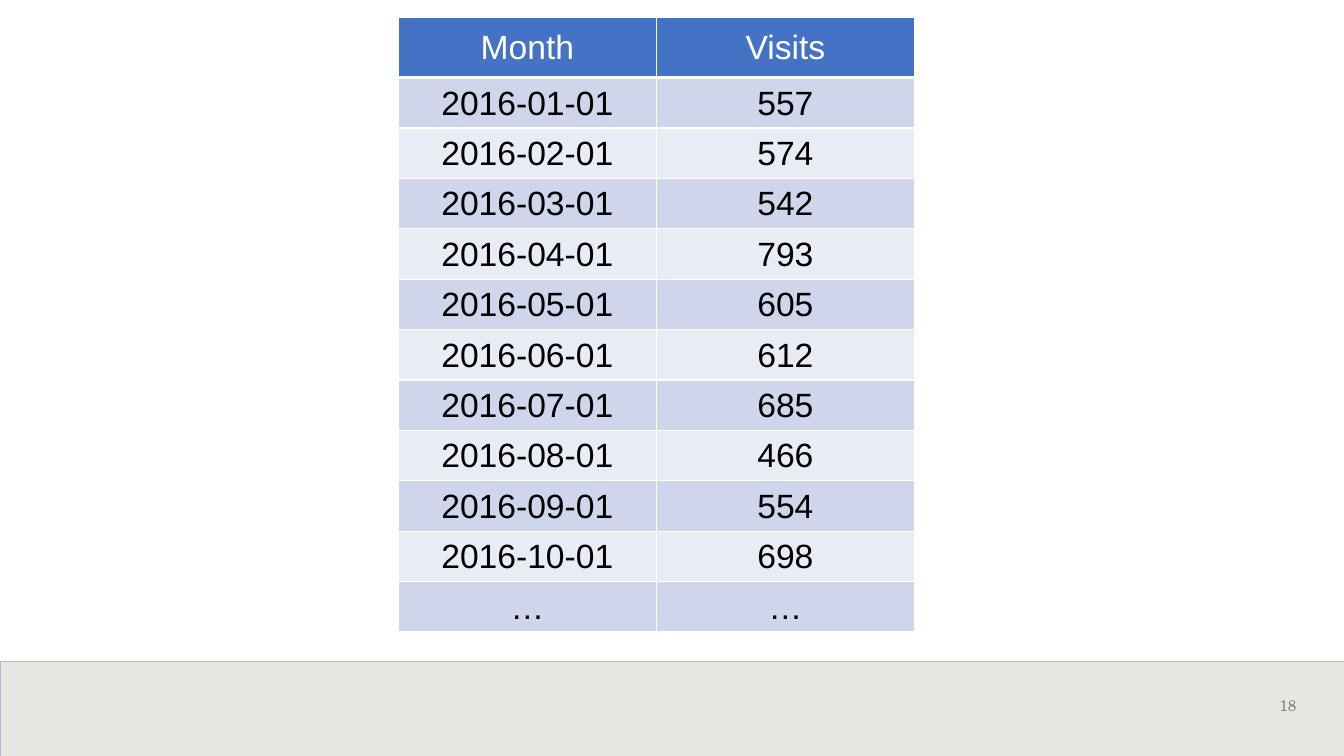
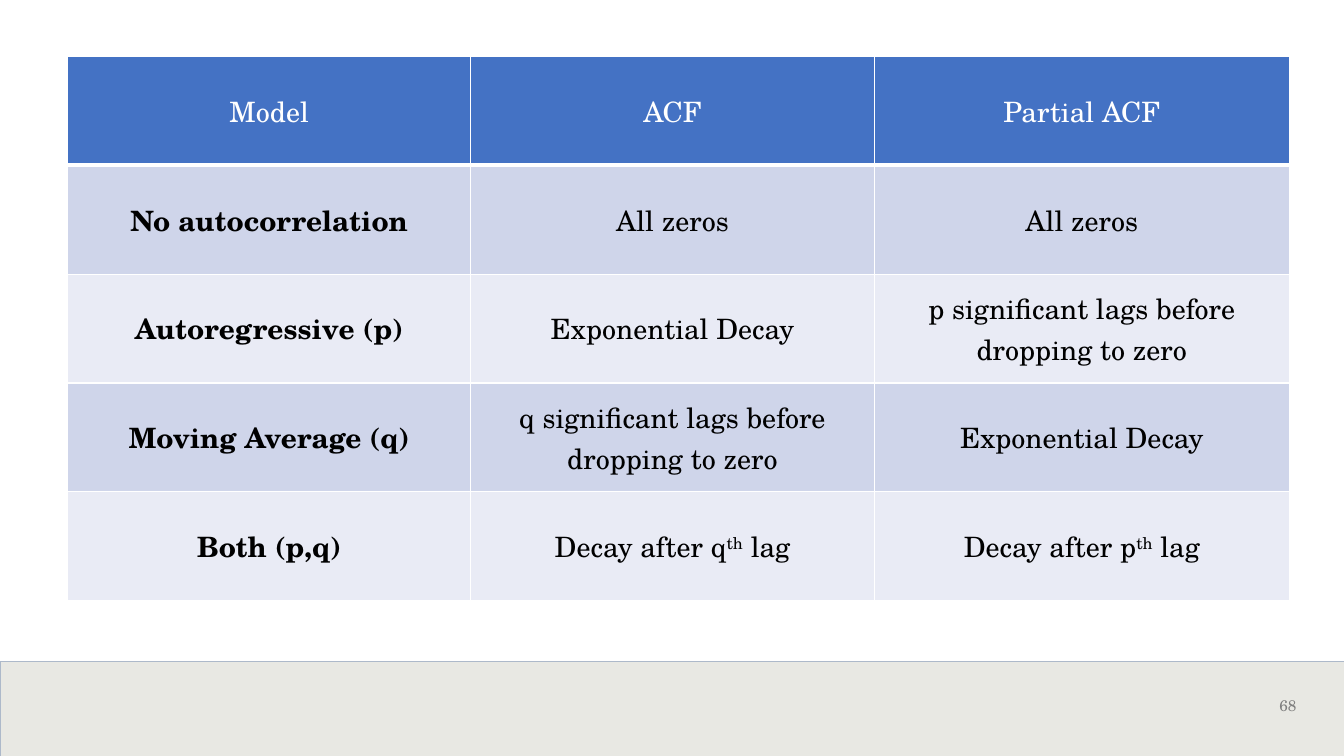
from dataclasses import dataclass

from lxml.etree import SubElement
from pptx import Presentation
from pptx.dml.color import RGBColor
from pptx.enum.shapes import MSO_SHAPE
from pptx.enum.text import MSO_ANCHOR, PP_ALIGN
from pptx.oxml.ns import qn
from pptx.util import Inches, Pt

SERIF = "TeX Gyre Schola"
SANS = "Arial"
WHITE = "FFFFFF"
BLACK = "000000"
HEADER_BLUE = "4472C4"
STRIPES = ("CFD5EA", "E9EBF5")
BAND_FILL = "D3D3C9"
BAND_EDGE = "ADB9CA"
NUMBER_GREY = "7F7F7F"
SLIDE_WIDTH, SLIDE_HEIGHT = 13.33, 7.5
BAND_TOP = 6.56


@dataclass(frozen=True)
class TableSlide:
    number: int
    left: float
    top: float
    widths: tuple[float, ...]
    header_height: float
    row_height: float
    font: str
    size: int
    rows: tuple[tuple[str, ...], ...]
    tight: bool = False
    bold_labels: bool = False


VISITS = (557, 574, 542, 793, 605, 612, 685, 466, 554, 698)

SLIDES = (
    TableSlide(
        number=18, left=3.95, top=0.17, widths=(2.56, 2.56),
        header_height=0.6, row_height=0.5, font=SANS, size=24, tight=True,
        rows=(
            ("Month", "Visits"),
            *((f"2016-{month:02}-01", str(count))
              for month, count in enumerate(VISITS, start=1)),
            ("…", "…"),
        ),
    ),
    TableSlide(
        number=68, left=0.67, top=0.56, widths=(4, 4, 4.12),
        header_height=1.08, row_height=1.08, font=SERIF, size=20, bold_labels=True,
        rows=(
            ("Model", "ACF", "Partial ACF"),
            ("No autocorrelation", "All zeros", "All zeros"),
            ("Autoregressive (p)", "Exponential Decay",
             "p significant lags before\ndropping to zero"),
            ("Moving Average (q)", "q significant lags before\ndropping to zero",
             "Exponential Decay"),
            ("Both (p,q)", "Decay after q^th^ lag", "Decay after p^th^ lag"),
        ),
    ),
)


def color(code: str) -> RGBColor:
    return RGBColor.from_string(code)


def style_font(paragraph, name: str, size: int, code: str, bold: bool = False) -> None:
    font = paragraph.font
    font.name, font.size, font.bold = name, Pt(size), bold
    font.color.rgb = color(code)


def add_footer(slide, number: int) -> None:
    band = slide.shapes.add_shape(
        MSO_SHAPE.RECTANGLE, 0, Inches(BAND_TOP),
        Inches(SLIDE_WIDTH), Inches(SLIDE_HEIGHT - BAND_TOP))
    band.shadow.inherit = False
    band.fill.solid()
    band.fill.fore_color.rgb = color(BAND_FILL)
    fill_color = band._element.spPr.find(qn("a:solidFill"))[0]
    SubElement(fill_color, qn("a:alpha"), val="50000")
    band.line.color.rgb = color(BAND_EDGE)
    band.line.width = Pt(0.5)

    page = slide.shapes.add_textbox(Inches(12.39), Inches(6.86), Inches(0.7), Inches(0.37))
    page.text_frame.word_wrap = True
    paragraph = page.text_frame.paragraphs[0]
    paragraph.text = str(number)
    paragraph._p.get_or_add_pPr().set("marL", str(Inches(0.2)))
    style_font(paragraph, SERIF, 11, NUMBER_GREY)


def add_borders(cell, bottom: float) -> None:
    properties = cell._tc.get_or_add_tcPr()
    for side, width in (("L", 1), ("R", 1), ("T", 1), ("B", bottom)):
        edge = SubElement(properties, qn(f"a:ln{side}"), w=str(Pt(width)))
        SubElement(SubElement(edge, qn("a:solidFill")), qn("a:srgbClr"), val=WHITE)


def write_line(paragraph, line: str) -> None:
    for index, part in enumerate(line.split("^")):
        run = paragraph.add_run()
        run.text = part
        if index % 2:
            run._r.get_or_add_rPr().set("baseline", "30000")


def fill_cell(cell, content: str, row: int, column: int, layout: TableSlide) -> None:
    is_header = row == 0
    add_borders(cell, bottom=3 if is_header else 1)
    cell.fill.solid()
    cell.fill.fore_color.rgb = color(HEADER_BLUE if is_header else STRIPES[(row - 1) % 2])
    cell.vertical_anchor = MSO_ANCHOR.MIDDLE
    if layout.tight and not is_header:
        cell.margin_left = cell.margin_right = cell.margin_top = Inches(0.01)
        cell.margin_bottom = 0
    frame = cell.text_frame
    for index, line in enumerate(content.split("\n")):
        paragraph = frame.add_paragraph() if index else frame.paragraphs[0]
        write_line(paragraph, line)
        paragraph.alignment = PP_ALIGN.CENTER
        style_font(paragraph, layout.font, layout.size, WHITE if is_header else BLACK,
                   bold=layout.bold_labels and not is_header and column == 0)


def add_grid(slide, layout: TableSlide) -> None:
    heights = [layout.header_height] + [layout.row_height] * (len(layout.rows) - 1)
    table = slide.shapes.add_table(
        len(heights), len(layout.widths), Inches(layout.left), Inches(layout.top),
        Inches(sum(layout.widths)), Inches(sum(heights))).table
    table.horz_banding = False
    for column, width in zip(table.columns, layout.widths):
        column.width = Inches(width)
    for row, height in zip(table.rows, heights):
        row.height = Inches(height)
    for row, contents in enumerate(layout.rows):
        for column, content in enumerate(contents):
            fill_cell(table.cell(row, column), content, row, column, layout)


def main() -> None:
    deck = Presentation()
    deck.slide_width, deck.slide_height = Inches(SLIDE_WIDTH), Inches(SLIDE_HEIGHT)
    for layout in SLIDES:
        slide = deck.slides.add_slide(deck.slide_layouts[6])
        add_footer(slide, layout.number)
        add_grid(slide, layout)
    deck.save("out.pptx")


if __name__ == "__main__":
    main()
